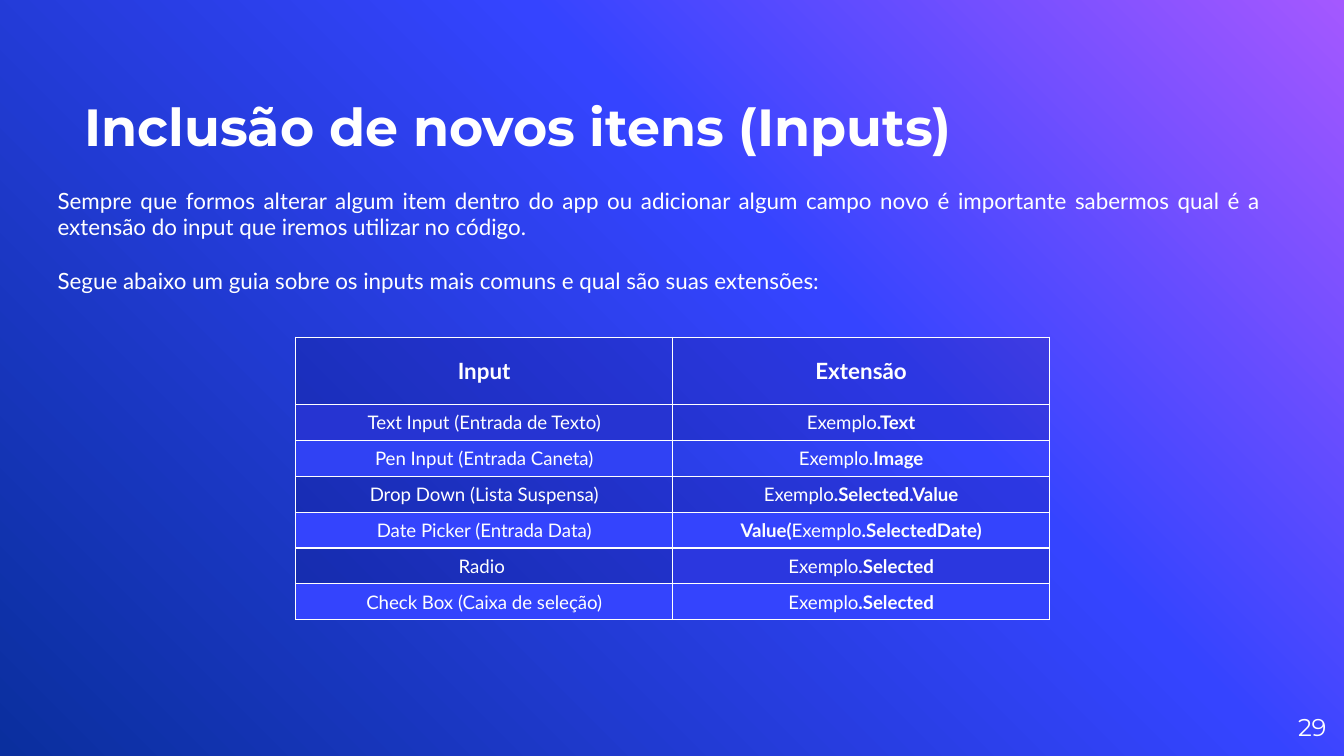
"""Build the slide that lists common inputs and their extensions."""
from typing import NamedTuple, Optional

import lxml.etree
import pptx
import pptx.dml.color
import pptx.enum.text
import pptx.oxml.ns
import pptx.util

Inches = pptx.util.Inches
Pt = pptx.util.Pt
qn = pptx.oxml.ns.qn
Align = pptx.enum.text.PP_ALIGN
Anchor = pptx.enum.text.MSO_ANCHOR

COLORS = {
    "white": "FFFFFF", "violet": "A458FF", "blue": "3544FF", "navy": "0A2F9E",
    "shade": "050060", "text_row": "2634D2", "pen_row": "3042F4",
    "bright": "3444FD", "radio_row": "2B37DF",
}
GRADIENT = ((0, "violet"), (39, "blue"), (100, "navy"))
SHADE_OPACITY = 18
SLIDE_WIDTH = 10


class Run(NamedTuple):
    text: str
    bold: bool = False


class Box(NamedTuple):
    left: float
    top: float
    width: float
    height: float


class InputRow(NamedTuple):
    label: str
    extension: tuple[Run, ...]
    fills: tuple[Optional[str], Optional[str]]


INPUTS = (
    InputRow("Text Input (Entrada de Texto)", (Run("Exemplo"), Run(".Text", True)), ("text_row", "shade")),
    InputRow("Pen Input (Entrada Caneta)", (Run("Exemplo."), Run("Image", True)), ("pen_row", None)),
    InputRow("Drop Down (Lista Suspensa)", (Run("Exemplo"), Run(".Selected.Value", True)), ("shade", "shade")),
    InputRow("Date Picker (Entrada Data)",
             (Run("Value(", True), Run("Exemplo"), Run(".SelectedDate)", True)), ("bright", "bright")),
    InputRow("Radio ", (Run("Exemplo"), Run(".Selected", True)), ("shade", "radio_row")),
    InputRow("Check Box (Caixa de seleção)", (Run("Exemplo"), Run(".Selected", True)), ("bright", "bright")),
)
INTRO = (
    "Sempre que formos alterar algum item dentro do app ou adicionar algum campo novo é importante "
    "sabermos qual é a extensão do input que iremos utilizar no código.",
    "Segue abaixo um guia sobre os inputs mais comuns e qual são suas extensões:",
)


def apply_format(target: object, values: dict) -> None:
    """Set every named attribute on the target."""
    for name, value in values.items():
        setattr(target, name, value)


def rgb(color: str) -> pptx.dml.color.RGBColor:
    """Return a palette colour."""
    return pptx.dml.color.RGBColor.from_string(COLORS[color])


def add_color(parent: lxml.etree._Element, color: str) -> lxml.etree._Element:
    """Append a palette colour to an XML element."""
    return lxml.etree.SubElement(parent, qn("a:srgbClr"), val=COLORS[color])


def write_runs(paragraph, runs: tuple[Run, ...], size: float, font: str, align: Align) -> None:
    """Write white runs into a paragraph."""
    paragraph.alignment = align
    for part in runs:
        run = paragraph.add_run()
        run.text = part.text
        apply_format(run.font, {"size": Pt(size), "name": font, "bold": part.bold})
        run.font.color.rgb = rgb("white")


def place(shape, box: Box) -> None:
    """Move and size a shape."""
    apply_format(shape, {name: Inches(value) for name, value in box._asdict().items()})


def format_frame(frame, anchor: Anchor, margin: Optional[float] = None) -> None:
    """Set wrapping, anchoring and, where given, equal margins."""
    values = {"word_wrap": True, "auto_size": pptx.enum.text.MSO_AUTO_SIZE.NONE, "vertical_anchor": anchor}
    if margin is not None:
        values |= {f"margin_{side}": Inches(margin) for side in ("left", "top", "right", "bottom")}
    apply_format(frame, values)


def paint_background(slide) -> None:
    """Fill the background with the diagonal gradient."""
    fill = slide.background.fill
    fill.gradient()
    fill.gradient_angle = 225
    stops = next(slide.element.iter(qn("a:gsLst")))
    for stop in list(stops):
        stops.remove(stop)
    for position, color in GRADIENT:
        add_color(lxml.etree.SubElement(stops, qn("a:gs"), pos=str(position * 1000)), color)


def format_cell(cell, runs: tuple[Run, ...], size: float, fill: Optional[str]) -> None:
    """Write a centred cell with its fill and white borders."""
    cell.vertical_anchor = Anchor.MIDDLE
    write_runs(cell.text_frame.paragraphs[0], runs, size, "Lato", Align.CENTER)
    if fill is None:
        cell.fill.background()
    else:
        cell.fill.solid()
        cell.fill.fore_color.rgb = rgb(fill)
    properties = cell._tc.get_or_add_tcPr()
    if fill == "shade":
        color = next(properties.iter(qn("a:srgbClr")))
        lxml.etree.SubElement(color, qn("a:alpha"), val=str(SHADE_OPACITY * 1000))
    for index, side in enumerate("LRTB"):
        border = lxml.etree.Element(qn(f"a:ln{side}"), w=str(Pt(0.75)))
        add_color(lxml.etree.SubElement(border, qn("a:solidFill")), "white")
        properties.insert(index, border)


def add_input_table(slide, box: Box, header_height: float, row_height: float) -> None:
    """Add the guide of inputs and extensions."""
    guide = slide.shapes.add_table(len(INPUTS) + 1, 2, *map(Inches, box)).table
    apply_format(guide, {"first_row": False, "horz_banding": False})
    for row in guide.rows:
        row.height = Inches(row_height)
    guide.rows[0].height = Inches(header_height)
    for column, heading in enumerate(("Input", "Extensão")):
        format_cell(guide.cell(0, column), (Run(heading, True),), 12, "shade")
    for index, item in enumerate(INPUTS, start=1):
        for column, runs in enumerate(((Run(item.label),), item.extension)):
            format_cell(guide.cell(index, column), runs, 10, item.fills[column])


def main() -> None:
    """Build and save the presentation."""
    deck = pptx.Presentation()
    apply_format(deck, {"slide_width": Inches(SLIDE_WIDTH), "slide_height": Inches(SLIDE_WIDTH * 9 / 16)})
    slide = deck.slides.add_slide(deck.slide_layouts[5])
    paint_background(slide)

    title = slide.shapes.title
    place(title, Box(0.63, 0.23, 7.01, 0.94))
    format_frame(title.text_frame, Anchor.BOTTOM, 0)
    write_runs(title.text_frame.paragraphs[0], (Run("Inclusão de novos itens (Inputs)", True),),
               28, "Montserrat", Align.LEFT)

    page_number = slide.shapes.add_textbox(*map(Inches, Box(9.27, 5.19, 0.6, 0.43))).text_frame
    format_frame(page_number, Anchor.MIDDLE, 0)
    write_runs(page_number.paragraphs[0], (Run("29"),), 13, "Montserrat", Align.RIGHT)

    intro = slide.shapes.add_textbox(*map(Inches, Box(0.33, 1.34, 9.15, 0.91))).text_frame
    format_frame(intro, Anchor.TOP)
    opening, guide_lead = intro.paragraphs[0], intro.add_paragraph()
    guide_lead.space_before = Pt(14.4)
    for paragraph, sentence in zip((opening, guide_lead), INTRO):
        write_runs(paragraph, (Run(sentence),), 12, "Lato", Align.JUSTIFY)

    add_input_table(slide, Box(2.2, 2.51, 5.61, 2.1), 0.5, 0.26)
    deck.save("out.pptx")


if __name__ == "__main__":
    main()
